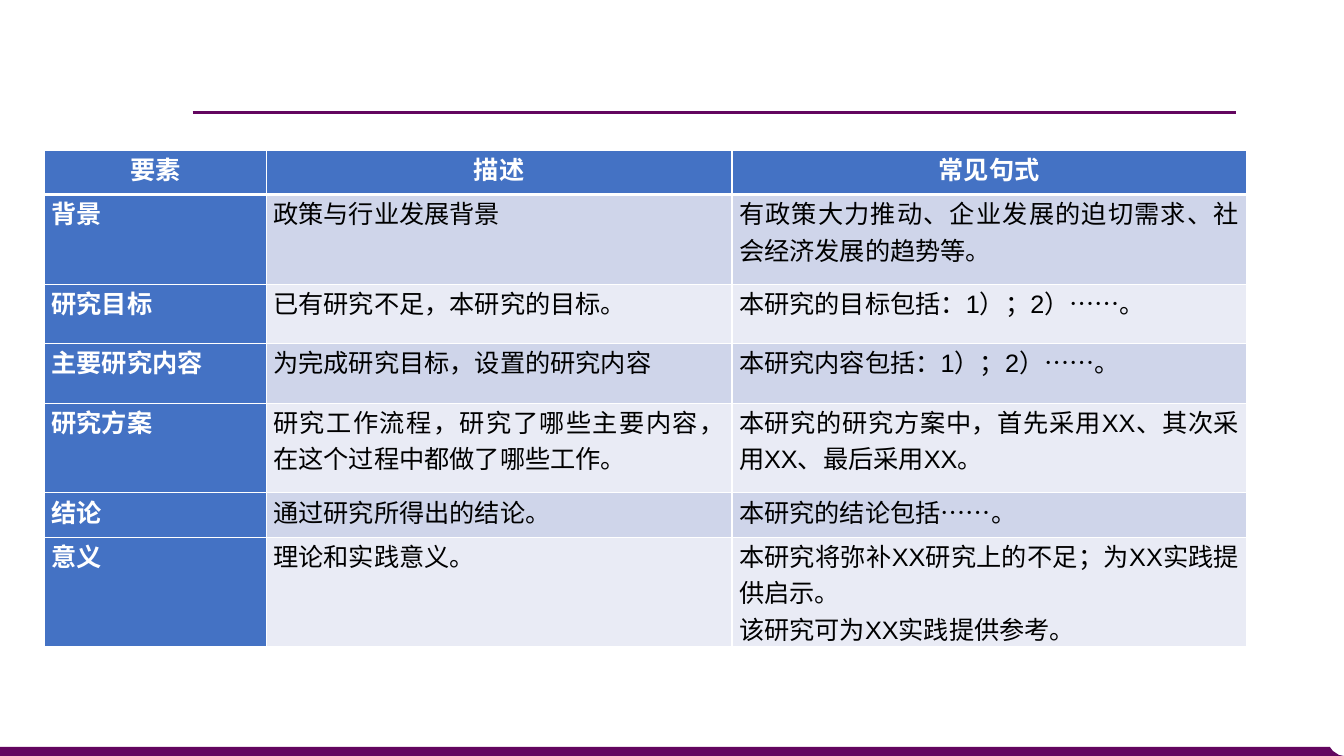
from dataclasses import dataclass

from lxml import etree
from pptx import Presentation
from pptx import util as u
from pptx.dml.color import RGBColor
from pptx.enum import shapes, text
from pptx.oxml import ns

PURPLE = RGBColor(0x63, 0x06, 0x5F)
BLUE = RGBColor(0x44, 0x72, 0xC4)
DARK_BAND = RGBColor(0xCF, 0xD5, 0xEA)
LIGHT_BAND = RGBColor(0xE9, 0xEB, 0xF5)
WHITE = RGBColor(0xFF, 0xFF, 0xFF)
BLACK = RGBColor(0x00, 0x00, 0x00)

COLUMN_WIDTHS = (2.2, 4.62, 5.1)
FOOTER_POINTS = [(13.19, 7.41), (13.22, 7.45), (13.25, 7.47), (13.28, 7.49), (13.33, 7.5), (0, 7.5)]


@dataclass
class Row:
    height: float
    element: str
    description: str
    phrases: str


ROWS = [
    Row(0.44, "要素", "描述", "常见句式"),
    Row(0.89, "背景", "政策与行业发展背景", "有政策大力推动、企业发展的迫切需求、社会经济发展的趋势等。"),
    Row(0.59, "研究目标", "已有研究不足，本研究的目标。", "本研究的目标包括：1）；2）……。"),
    Row(0.59, "主要研究内容", "为完成研究目标，设置的研究内容", "本研究内容包括：1）；2）……。"),
    Row(0.89, "研究方案", "研究工作流程，研究了哪些主要内容，在这个过程中都做了哪些工作。",
        "本研究的研究方案中，首先采用XX、其次采用XX、最后采用XX。"),
    Row(0.44, "结论", "通过研究所得出的结论。", "本研究的结论包括……。"),
    Row(0.89, "意义", "理论和实践意义。",
        "本研究将弥补XX研究上的不足；为XX实践提供启示。\n该研究可为XX实践提供参考。"),
]


def draw_footer(page) -> None:
    builder = page.shapes.build_freeform(0, u.Inches(7.41))
    builder.add_line_segments([(u.Inches(x), u.Inches(y)) for x, y in FOOTER_POINTS])
    footer = builder.convert_to_shape()
    footer.shadow.inherit = False
    footer.fill.solid()
    footer.fill.fore_color.rgb = PURPLE
    footer.line.fill.background()


def draw_title_rule(page) -> None:
    rule = page.shapes.add_connector(
        shapes.MSO_CONNECTOR.STRAIGHT,
        u.Inches(1.91), u.Inches(1.12), u.Inches(12.26), u.Inches(1.12))
    rule.line.color.rgb = PURPLE
    rule.line.width = u.Pt(2.25)
    etree.SubElement(rule._element.spPr, ns.qn("a:effectLst"))


def set_borders(cell, top: float = 1, bottom: float = 1) -> None:
    properties = cell._tc.get_or_add_tcPr()
    for side, width in (("L", 1), ("R", 1), ("T", top), ("B", bottom)):
        border = etree.SubElement(properties, ns.qn(f"a:ln{side}"), w=str(u.Pt(width)))
        fill = etree.SubElement(border, ns.qn("a:solidFill"))
        etree.SubElement(fill, ns.qn("a:srgbClr"), val=str(WHITE))


def write_text(cell, content: str, *, color: RGBColor, bold: bool, align) -> None:
    cell.margin_left = cell.margin_right = u.Inches(0.07)
    cell.margin_top = cell.margin_bottom = 0
    cell.text_frame.text = content
    for para in cell.text_frame.paragraphs:
        para.alignment = align
        for span in para.runs:
            span.font.name = "Arial"
            span.font.size = u.Pt(18)
            span.font.bold = bold
            span.font.color.rgb = color


def draw_table(page) -> None:
    frame = page.shapes.add_table(
        len(ROWS), len(COLUMN_WIDTHS), u.Inches(0.44), u.Inches(1.49),
        u.Inches(sum(COLUMN_WIDTHS)), u.Inches(sum(row.height for row in ROWS)))
    table = frame.table
    for column, width in zip(table.columns, COLUMN_WIDTHS):
        column.width = u.Inches(width)
    for row_index, row in enumerate(ROWS):
        table.rows[row_index].height = u.Inches(row.height)
        is_header = row_index == 0
        band = DARK_BAND if row_index % 2 else LIGHT_BAND
        for column_index, content in enumerate((row.element, row.description, row.phrases)):
            cell = table.cell(row_index, column_index)
            is_label = is_header or column_index == 0
            set_borders(cell, top=3 if row_index == 1 else 1, bottom=3 if is_header else 1)
            cell.fill.solid()
            cell.fill.fore_color.rgb = BLUE if is_label else band
            write_text(cell, content, color=WHITE if is_label else BLACK, bold=is_label,
                       align=text.PP_ALIGN.CENTER if is_header else text.PP_ALIGN.JUSTIFY)


def main() -> None:
    deck = Presentation()
    deck.slide_width = u.Inches(13.33)
    deck.slide_height = u.Inches(7.5)
    page = deck.slides.add_slide(deck.slide_layouts[6])
    draw_footer(page)
    draw_title_rule(page)
    draw_table(page)
    deck.save("out.pptx")


if __name__ == "__main__":
    main()
